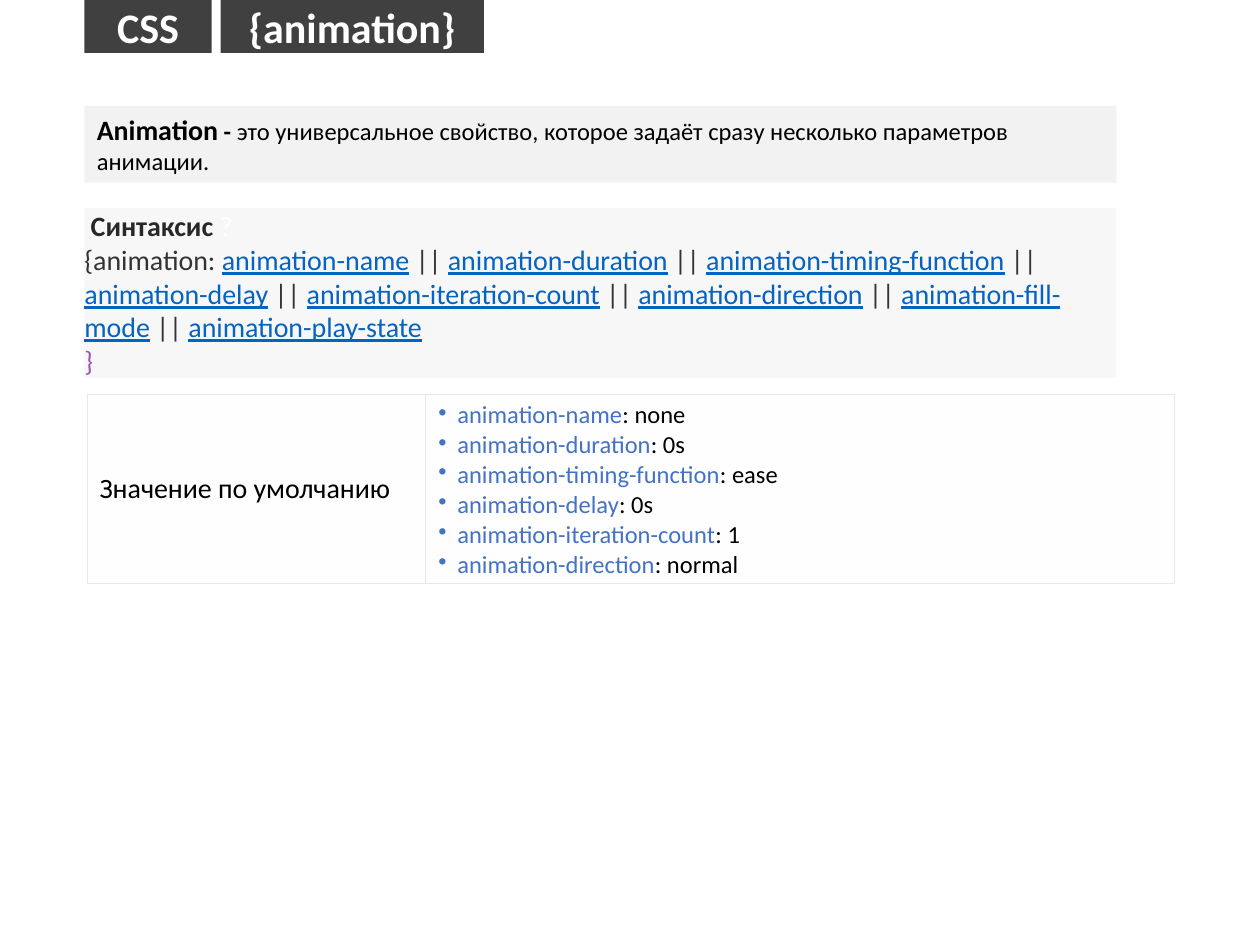
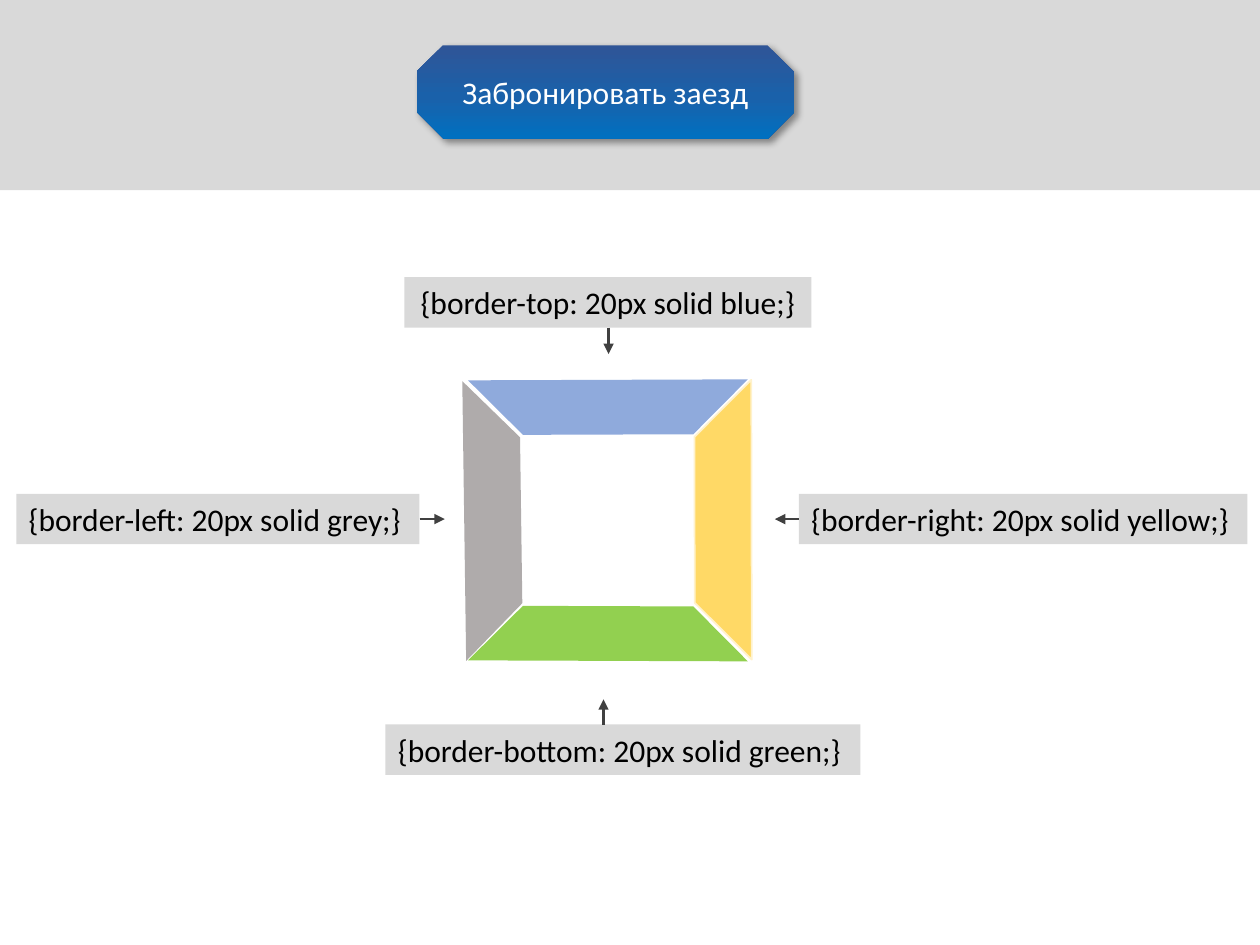
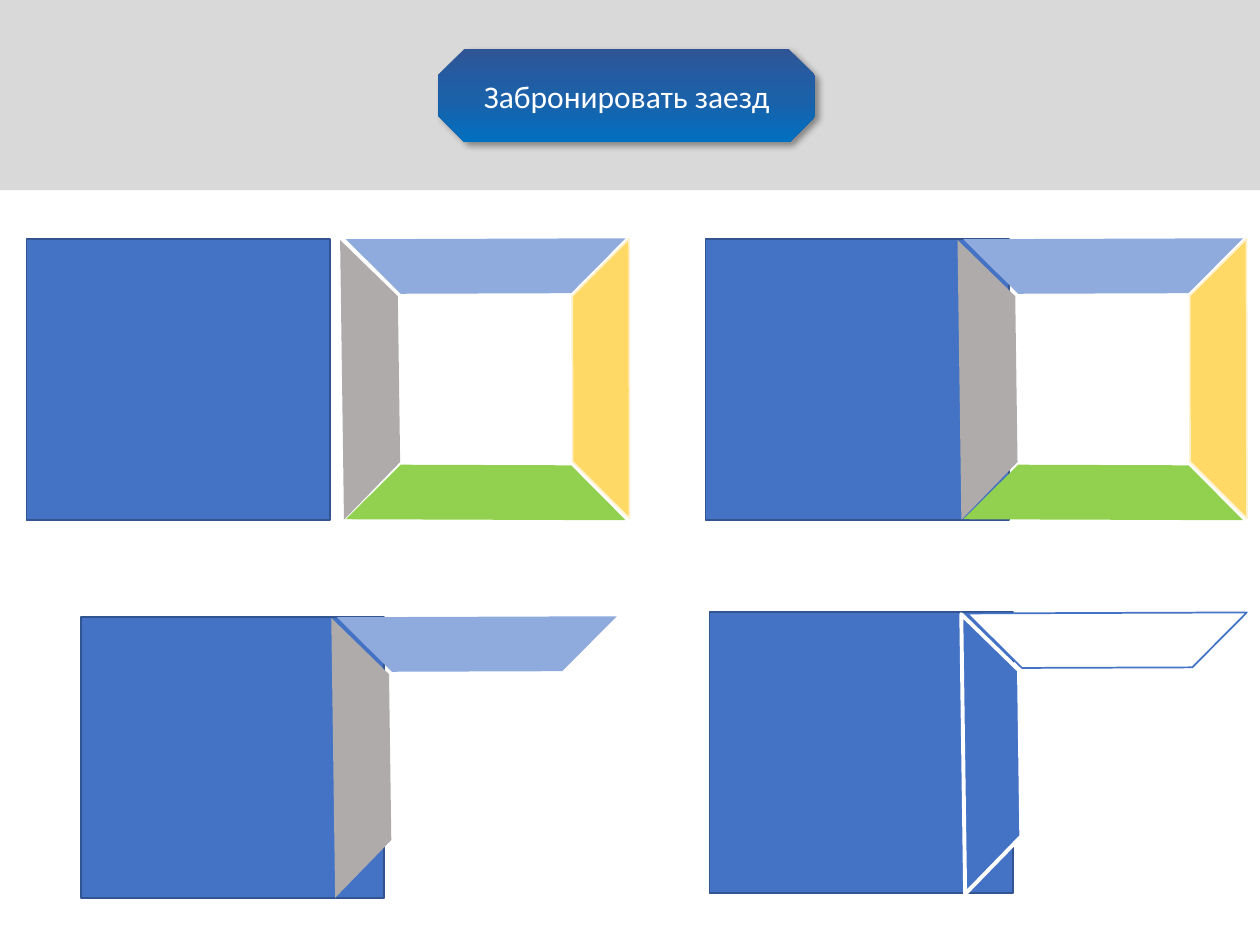
from copy import deepcopy
from dataclasses import dataclass, replace
from typing import NamedTuple

from lxml.etree import SubElement
from pptx import Presentation
from pptx.dml.color import RGBColor
from pptx.enum.dml import MSO_LINE
from pptx.enum.shapes import MSO_CONNECTOR, MSO_SHAPE
from pptx.enum.text import MSO_ANCHOR, MSO_AUTO_SIZE, PP_ALIGN
from pptx.oxml.ns import qn
from pptx.util import Inches, Pt

FONT = "Calibri"
WHITE, BLACK, DARK = "FFFFFF", "000000", "404040"
BAND_GREY, ACCENT, ACCENT_EDGE = "D9D9D9", "4472C4", "325491"
LINK, CODE = "0563C1", "333333"
STRIPE_SIZE = 1.57


class Box(NamedTuple):
    left: float
    top: float
    width: float
    height: float

    def lengths(self) -> list:
        return [Inches(value) for value in self]


@dataclass(frozen=True)
class Run:
    text: str
    size: float = 18
    color: str = BLACK
    bold: bool = False
    underline: bool = False


@dataclass(frozen=True)
class Stripe:
    dx: float
    dy: float
    rotation: float
    cut: float
    fill: str
    flip: str = ""
    edge: str = ""
    edge_width: float = 1


@dataclass(frozen=True)
class Label:
    text: str
    box: Box
    arrow_start: tuple[float, float]
    arrow_end: tuple[float, float]
    align: PP_ALIGN = PP_ALIGN.LEFT
    wrap: bool = False


@dataclass(frozen=True)
class Scene:
    square: tuple[float, float]
    frame: tuple[float, float]
    stripes: tuple[Stripe, ...]


RIGHT = Stripe(1.14, 1.11, 314.9, 0.593, "FFD966", edge="FFF2CC")
LEFT = Stripe(-1.14, 1.12, 44.2, 0.593, "AFABAB", flip="flipH")
BOTTOM = Stripe(0, 2.23, 45.2, 0.609, "92D050")
TOP = Stripe(0, 0, 314.8, 0.609, "8FAADC", flip="flipV")
FULL_FRAME = (RIGHT, LEFT, BOTTOM, TOP)
OUTLINED = (
    replace(LEFT, fill=ACCENT, edge=WHITE, edge_width=2.25),
    replace(TOP, fill=WHITE, edge=ACCENT),
)

LABELS = [
    Label("{border-top: 20px solid blue;}", Box(3.21, 2.2, 3.23, 0.4),
          (4.83, 2.6), (4.83, 2.81), PP_ALIGN.CENTER, True),
    Label("{border-right: 20px solid yellow;}", Box(6.34, 3.92, 3.56, 0.4),
          (6.34, 4.12), (6.15, 4.12)),
    Label("{border-bottom: 20px solid green;}", Box(3.06, 5.75, 3.77, 0.4),
          (4.79, 5.75), (4.79, 5.55)),
    Label("{border-left: 20px solid grey;}", Box(0.13, 3.92, 3.2, 0.4),
          (3.33, 4.12), (3.53, 4.12)),
]

SCENES = [
    Scene((0.21, 1.9), (3.07, 1.11), FULL_FRAME),
    Scene((5.6, 1.9), (7.97, 1.11), FULL_FRAME),
    Scene((5.63, 4.86), (8, 4.08), OUTLINED),
    Scene((0.64, 4.9), (3, 4.11), (LEFT, TOP)),
]

PROPERTIES = ["name", "duration", "timing-function", "delay",
              "iteration-count", "direction", "fill-mode", "play-state"]
DEFAULTS = ["none", "0s", "ease", "0s", "1", "normal"]


def rgb(value: str) -> RGBColor:
    return RGBColor.from_string(value)


def paint(shape, fill: str) -> None:
    shape.fill.solid()
    shape.fill.fore_color.rgb = rgb(fill)


def set_font(font, run: Run) -> None:
    font.name = FONT
    font.size = Pt(run.size)
    font.bold = run.bold
    font.underline = run.underline
    font.color.rgb = rgb(run.color)


def write(frame, lines: list[list[Run]], align: PP_ALIGN = PP_ALIGN.LEFT) -> None:
    for index, runs in enumerate(lines):
        paragraph = frame.paragraphs[0] if index == 0 else frame.add_paragraph()
        paragraph.alignment = align
        for run in runs:
            part = paragraph.add_run()
            part.text = run.text
            set_font(paragraph.font if len(runs) == 1 else part.font, run)


def indent(paragraph, left: float, first: float = 0) -> None:
    properties = paragraph._p.get_or_add_pPr()
    properties.set("marL", str(Inches(left)))
    properties.set("indent", str(Inches(first)))


def add_bullet(paragraph) -> None:
    indent(paragraph, 0.15, -0.15)
    bullet = paragraph._p.get_or_add_pPr().makeelement(qn("a:buChar"), {"char": "•"})
    paragraph._p.pPr.insert(0, bullet)


def add_panel(slide, box: Box, fill: str, lines: list[list[Run]],
              align: PP_ALIGN = PP_ALIGN.LEFT, wrap: bool = True):
    panel = slide.shapes.add_textbox(*box.lengths())
    paint(panel, fill)
    panel.text_frame.word_wrap = wrap
    panel.text_frame.auto_size = MSO_AUTO_SIZE.SHAPE_TO_FIT_TEXT
    write(panel.text_frame, lines, align)
    return panel


def format_tab(tab, box: Box, text: str) -> None:
    tab.left, tab.top, tab.width, tab.height = box.lengths()
    paint(tab, DARK)
    tab.text_frame.word_wrap = True
    tab.text_frame.auto_size = MSO_AUTO_SIZE.NONE
    tab.text_frame.vertical_anchor = MSO_ANCHOR.MIDDLE
    write(tab.text_frame, [[Run(text, 24, WHITE, bold=True)]], PP_ALIGN.CENTER)


def add_block(slide, kind: MSO_SHAPE, box: Box, fill: str,
              edge: str = "", edge_width: float = 1):
    block = slide.shapes.add_shape(kind, *box.lengths())
    block.shadow.inherit = False
    paint(block, fill)
    if edge:
        block.line.color.rgb = rgb(edge)
        block.line.width = Pt(edge_width)
    else:
        block.line.fill.background()
    return block


def add_stripe(slide, stripe: Stripe, left: float, top: float) -> None:
    box = Box(left + stripe.dx, top + stripe.dy, STRIPE_SIZE, STRIPE_SIZE)
    side = add_block(slide, MSO_SHAPE.DIAGONAL_STRIPE, box, stripe.fill,
                     stripe.edge, stripe.edge_width)
    side.adjustments[0] = stripe.cut
    side.rotation = stripe.rotation
    if stripe.flip:
        side.element.spPr.get_or_add_xfrm().set(stripe.flip, "1")


def add_arrow(slide, start: tuple[float, float], end: tuple[float, float]) -> None:
    arrow = slide.shapes.add_connector(
        MSO_CONNECTOR.STRAIGHT, *[Inches(value) for value in (*start, *end)])
    arrow.line.color.rgb = rgb(DARK)
    arrow.line.width = Pt(1.5)
    arrow.line.dash_style = MSO_LINE.SOLID
    SubElement(arrow.line._get_or_add_ln(), qn("a:tailEnd"), type="triangle")
    SubElement(arrow.element.spPr, qn("a:effectLst"))


def add_booking_header(slide, left: float, top: float) -> None:
    add_block(slide, MSO_SHAPE.RECTANGLE, Box(0, 0, 10, 1.51), BAND_GREY)
    button = add_block(slide, MSO_SHAPE.SNIP_2_DIAG_RECTANGLE,
                       Box(left, top, 2.99, 0.74), ACCENT)
    button.adjustments[0], button.adjustments[1] = 0.278, 0.284

    button.fill.gradient()
    button.fill.gradient_angle = 270
    first = button.element.spPr.find(".//" + qn("a:gs"))
    first.addnext(deepcopy(first))
    colors = [(0, "2F5597"), (0.55, "1A61AA"), (1, "0070C0")]
    for stop, (position, color) in zip(button.fill.gradient_stops, colors):
        stop.position = position
        stop.color.rgb = rgb(color)

    effects = button.element.spPr.find(qn("a:effectLst"))
    shadow = SubElement(effects, qn("a:outerShdw"), blurRad=str(Pt(4)),
                        dist=str(Pt(3)), dir="2700000", algn="tl", rotWithShape="0")
    shade = SubElement(shadow, qn("a:srgbClr"), val=BLACK)
    SubElement(shade, qn("a:alpha"), val="40000")

    button.text_frame.vertical_anchor = MSO_ANCHOR.MIDDLE
    write(button.text_frame, [[Run("Забронировать заезд", color=WHITE)]], PP_ALIGN.CENTER)


def format_cell(cell, lines: list[list[Run]]) -> None:
    cell.vertical_anchor = MSO_ANCHOR.MIDDLE
    paint(cell, "FEFEFE")
    write(cell.text_frame, lines)
    properties = cell._tc.get_or_add_tcPr()
    for index, side in enumerate(("lnL", "lnR", "lnT", "lnB")):
        border = properties.makeelement(qn(f"a:{side}"), {"w": str(Pt(0.6))})
        SubElement(SubElement(border, qn("a:solidFill")), qn("a:srgbClr"), val="E9E8E8")
        properties.insert(index, border)


def add_defaults_table(slide) -> None:
    table = slide.shapes.add_table(1, 2, *Box(0.69, 3.13, 8.63, 1.5).lengths()).table
    table.first_row = table.horz_banding = False
    table.columns[0].width, table.columns[1].width = Inches(2.69), Inches(5.94)
    caption, values = table.rows[0].cells
    format_cell(caption, [[Run("Значение по умолчанию", 16)]])
    format_cell(values, [
        [Run(f"animation-{name}", 14, ACCENT), Run(f":\u00a0{value}", 14)]
        for name, value in zip(PROPERTIES, DEFAULTS)])
    for paragraph in values.text_frame.paragraphs:
        add_bullet(paragraph)


def add_syntax(slide) -> None:
    declaration = [Run("{animation: ", 16, CODE)]
    for index, name in enumerate(PROPERTIES):
        if index:
            declaration.append(Run(" || ", 16, CODE))
        declaration.append(Run(f"animation-{name}", 16, LINK, underline=True))
    heading = [Run("Синтаксис\u00a0", 16, "282828", bold=True), Run("?", 16, WHITE)]
    syntax = add_panel(slide, Box(0.67, 1.65, 8.19, 1.35), "F8F7F7",
                       [heading, declaration, [Run("}", 16, "9B59B6")]])
    frame = syntax.text_frame
    frame.vertical_anchor = MSO_ANCHOR.MIDDLE
    frame.margin_left = frame.margin_right = frame.margin_top = frame.margin_bottom = 0
    indent(frame.paragraphs[0], 0.05)


def build_animation_slide(deck) -> None:
    slide = deck.slides.add_slide(deck.slide_layouts[5])
    css_box = Box(0.67, 0, 1.01, 0.42)
    format_tab(slide.shapes.add_textbox(*css_box.lengths()), css_box, "CSS")
    format_tab(slide.shapes.title, Box(1.75, 0, 2.09, 0.42), "{animation}")
    add_panel(slide, Box(0.67, 0.84, 8.19, 0.61), "F2F2F2", [[
        Run("Animation", 16, bold=True),
        Run("\u00a0- ", 14, bold=True),
        Run("это универсальное свойство, которое задаёт сразу "
            "несколько параметров анимации.", 14),
    ]])
    add_syntax(slide)
    add_defaults_table(slide)


def build_border_slide(deck) -> None:
    slide = deck.slides.add_slide(deck.slide_layouts[6])
    add_booking_header(slide, 3.31, 0.36)
    for stripe in FULL_FRAME:
        add_stripe(slide, stripe, 4.04, 2.23)
    for label in LABELS:
        add_panel(slide, label.box, BAND_GREY, [[Run(label.text)]], label.align, label.wrap)
        add_arrow(slide, label.arrow_start, label.arrow_end)


def build_overlap_slide(deck) -> None:
    slide = deck.slides.add_slide(deck.slide_layouts[6])
    add_booking_header(slide, 3.48, 0.39)
    for scene in SCENES:
        add_block(slide, MSO_SHAPE.RECTANGLE, Box(*scene.square, 2.41, 2.23),
                  ACCENT, ACCENT_EDGE)
        for stripe in scene.stripes:
            add_stripe(slide, stripe, *scene.frame)


def main() -> None:
    """Build the three CSS slides and save them."""
    deck = Presentation()
    deck.slide_width, deck.slide_height = Inches(10), Inches(7.5)
    build_animation_slide(deck)
    build_border_slide(deck)
    build_overlap_slide(deck)
    deck.save("out.pptx")


main()
